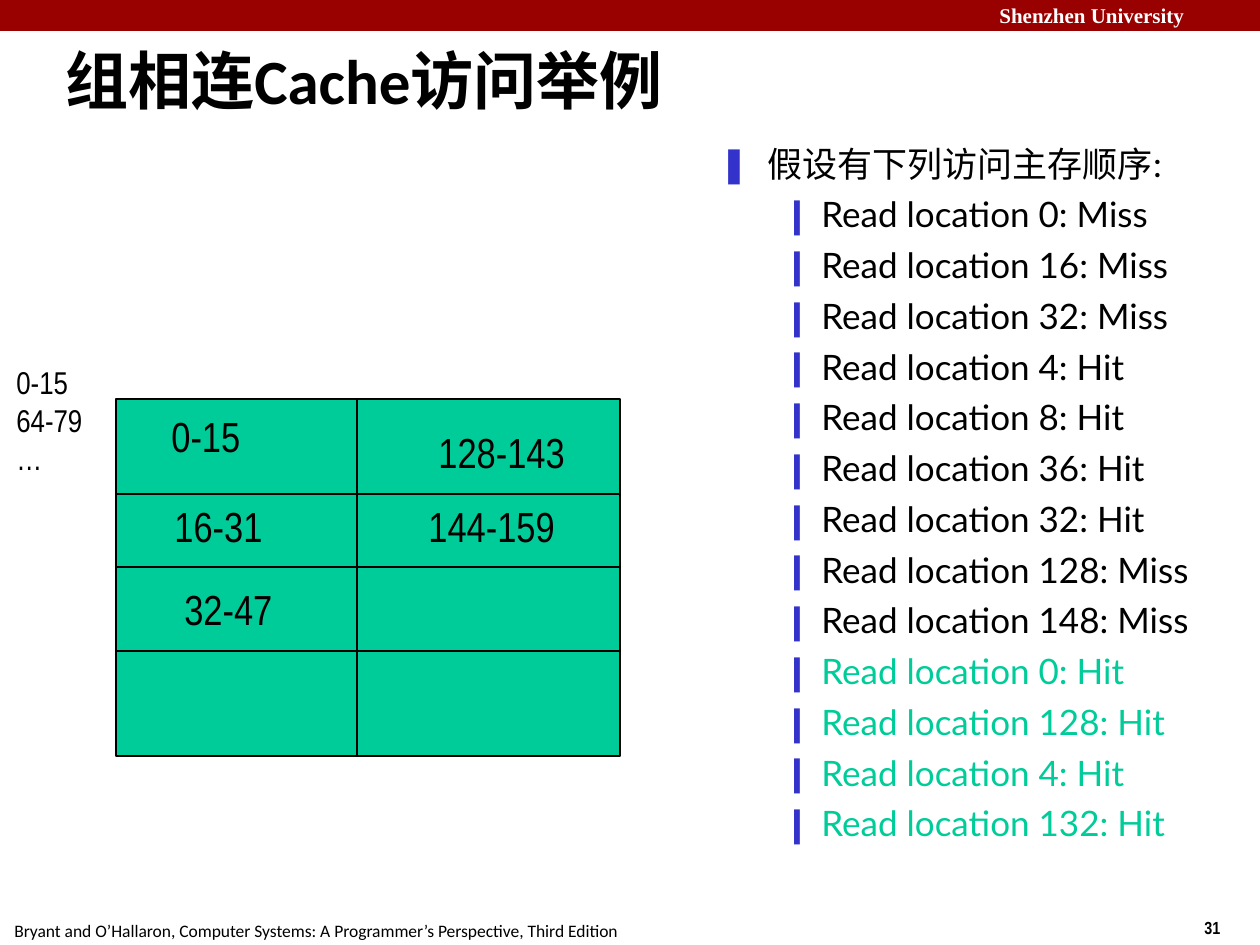
"""Build the slide on set-associative cache accesses."""
from dataclasses import dataclass
from typing import Optional

from lxml.etree import SubElement
from pptx import Presentation
from pptx.dml.color import RGBColor as Rgb
from pptx.enum.shapes import MSO_CONNECTOR as Connector, MSO_SHAPE as Shape
from pptx.enum.text import MSO_ANCHOR as Anchor, MSO_AUTO_SIZE as AutoSize
from pptx.oxml.ns import qn
from pptx.slide import Slide
from pptx.util import Emu, Pt

EMU_PER_PX = 914400 / 126


@dataclass(frozen=True)
class Theme:
    """Colours and type sizes in points."""
    ink: str = "000000"
    paper: str = "FFFFFF"
    banner: str = "990000"
    cache: str = "00CC99"
    bullet: str = "3333CC"
    title_size: int = 36
    block_size: int = 24
    list_size: int = 20
    address_size: int = 18
    banner_size: int = 12
    footer_size: int = 10


THEME = Theme()


@dataclass(frozen=True)
class Bullet:
    """A bullet mark with its text position in px."""
    mark: str
    margin: int
    hanging: int
    level: int


@dataclass(frozen=True)
class Line:
    """One paragraph with an optional bullet."""
    text: str
    color: str = THEME.ink
    bullet: Optional[Bullet] = None


@dataclass(frozen=True)
class Label:
    """A text box placed in px."""
    left: int
    top: int
    width: int
    height: int
    lines: tuple[Line, ...]
    size: int
    face: str = "Arial Narrow"
    bold: bool = False
    wrap: bool = False
    fit: AutoSize = AutoSize.SHAPE_TO_FIT_TEXT
    anchor: Anchor = Anchor.TOP
    gap: int = 0


@dataclass(frozen=True)
class Panel:
    """A filled rectangle placed in px."""
    left: int
    top: int
    width: int
    height: int
    fill: str
    outlined: bool = False


def px(length: int) -> Emu:
    """Turn px into EMU."""
    return Emu(round(length * EMU_PER_PX))


def draw_panel(slide: Slide, panel: Panel) -> None:
    """Draw a rectangle."""
    box = (panel.left, panel.top, panel.width, panel.height)
    rectangle = slide.shapes.add_shape(Shape.RECTANGLE, *map(px, box))
    rectangle.shadow.inherit = False
    rectangle.fill.solid()
    rectangle.fill.fore_color.rgb = Rgb.from_string(panel.fill)
    if panel.outlined:
        rectangle.line.color.rgb = Rgb.from_string(THEME.ink)
        rectangle.line.width = Pt(1)
    else:
        rectangle.line.fill.background()


def draw_divider(slide: Slide, x1: int, y1: int, x2: int, y2: int) -> None:
    """Draw a straight line between cache blocks."""
    divider = slide.shapes.add_connector(Connector.STRAIGHT, *map(px, (x1, y1, x2, y2)))
    divider.line.color.rgb = Rgb.from_string(THEME.ink)
    divider.line.width = Pt(1)
    SubElement(divider._element.spPr, qn("a:effectLst"))


def add_bullet(paragraph, bullet: Bullet, face: str) -> None:
    """Give a paragraph its bullet and hanging indent."""
    paragraph.level = bullet.level
    properties = paragraph._p.get_or_add_pPr()
    properties.set("marL", str(px(bullet.margin)))
    properties.set("indent", str(px(-bullet.hanging)))
    color = SubElement(properties, qn("a:buClr"))
    SubElement(color, qn("a:srgbClr"), val=THEME.bullet)
    SubElement(properties, qn("a:buSzPct"), val="100000")
    SubElement(properties, qn("a:buFont"), typeface=face)
    SubElement(properties, qn("a:buChar"), char=bullet.mark)


def draw_label(slide: Slide, label: Label) -> None:
    """Draw a text box with its paragraphs."""
    box = (label.left, label.top, label.width, label.height)
    frame = slide.shapes.add_textbox(*map(px, box)).text_frame
    frame_format = {"word_wrap": label.wrap, "auto_size": label.fit, "vertical_anchor": label.anchor}
    for name, value in frame_format.items():
        setattr(frame, name, value)
    font_format = {"name": label.face, "size": Pt(label.size), "bold": label.bold}
    for index, line in enumerate(label.lines):
        paragraph = frame.add_paragraph() if index else frame.paragraphs[0]
        if line.bullet:
            add_bullet(paragraph, line.bullet, label.face)
        if index and label.gap:
            paragraph.space_before = Pt(label.gap)
        run = paragraph.add_run()
        run.text = line.text
        for name, value in font_format.items():
            setattr(run.font, name, value)
        run.font.color.rgb = Rgb.from_string(line.color)


TOPIC = Bullet("❚", 48, 48, 0)
ACCESS = Bullet("❙", 102, 39, 1)
FIRST_ACCESSES = ("0: Miss", "16: Miss", "32: Miss", "4: Hit", "8: Hit",
                  "36: Hit", "32: Hit", "128: Miss", "148: Miss")
LATER_HITS = (0, 128, 4, 132)
ACCESS_LINES = (
    Line("假设有下列访问主存顺序:", bullet=TOPIC),
    *(Line(f"Read location {access}", bullet=ACCESS) for access in FIRST_ACCESSES),
    *(Line(f"Read location {address}: Hit", THEME.cache, ACCESS) for address in LATER_HITS),
)

BANNER = Panel(0, 0, 1260, 31, THEME.banner)
CACHE = Panel(116, 399, 504, 357, THEME.cache, outlined=True)
SET_EDGES = (494, 567, 651)
WAY_EDGE = 357

CACHED_BLOCKS = (
    ("0-15", 159, 404, 96),
    ("16-31", 162, 494, 116),
    ("32-47", 172, 577, 116),
    ("128-143", 426, 420, 154),
    ("144-159", 416, 494, 154),
)

LABELS = (
    Label(987, -4, 282, 38, (Line("Shenzhen University", THEME.paper),),
          THEME.banner_size, "Times New Roman", bold=True, wrap=True),
    Label(1192, 911, 95, 34, (Line("31"),), THEME.footer_size, bold=True),
    Label(2, 914, 631, 34,
          (Line("Bryant and O’Hallaron, Computer Systems: A Programmer’s Perspective, Third Edition"),),
          THEME.footer_size, "Calibri"),
    Label(53, 0, 1071, 158, (Line("组相连Cache访问举例"),), THEME.title_size, "Calibri",
          bold=True, wrap=True, fit=AutoSize.NONE, anchor=Anchor.MIDDLE),
    Label(707, 136, 553, 777, ACCESS_LINES, THEME.list_size, "Lato",
          wrap=True, fit=AutoSize.NONE, gap=5),
    Label(4, 357, 91, 126, tuple(map(Line, ("0-15", "64-79", "…"))), THEME.address_size),
    *(Label(left, top, width, 63, (Line(block),), THEME.block_size)
      for block, left, top, width in CACHED_BLOCKS),
)


def main() -> None:
    """Build and save the slide."""
    deck = Presentation()
    deck.slide_width, deck.slide_height = px(1260), px(945)
    slide = deck.slides.add_slide(deck.slide_layouts[6])
    for panel in (BANNER, CACHE):
        draw_panel(slide, panel)
    for edge in SET_EDGES:
        draw_divider(slide, CACHE.left, edge, CACHE.left + CACHE.width, edge)
    draw_divider(slide, WAY_EDGE, CACHE.top, WAY_EDGE, CACHE.top + CACHE.height)
    for label in LABELS:
        draw_label(slide, label)
    deck.save("out.pptx")


if __name__ == "__main__":
    main()
